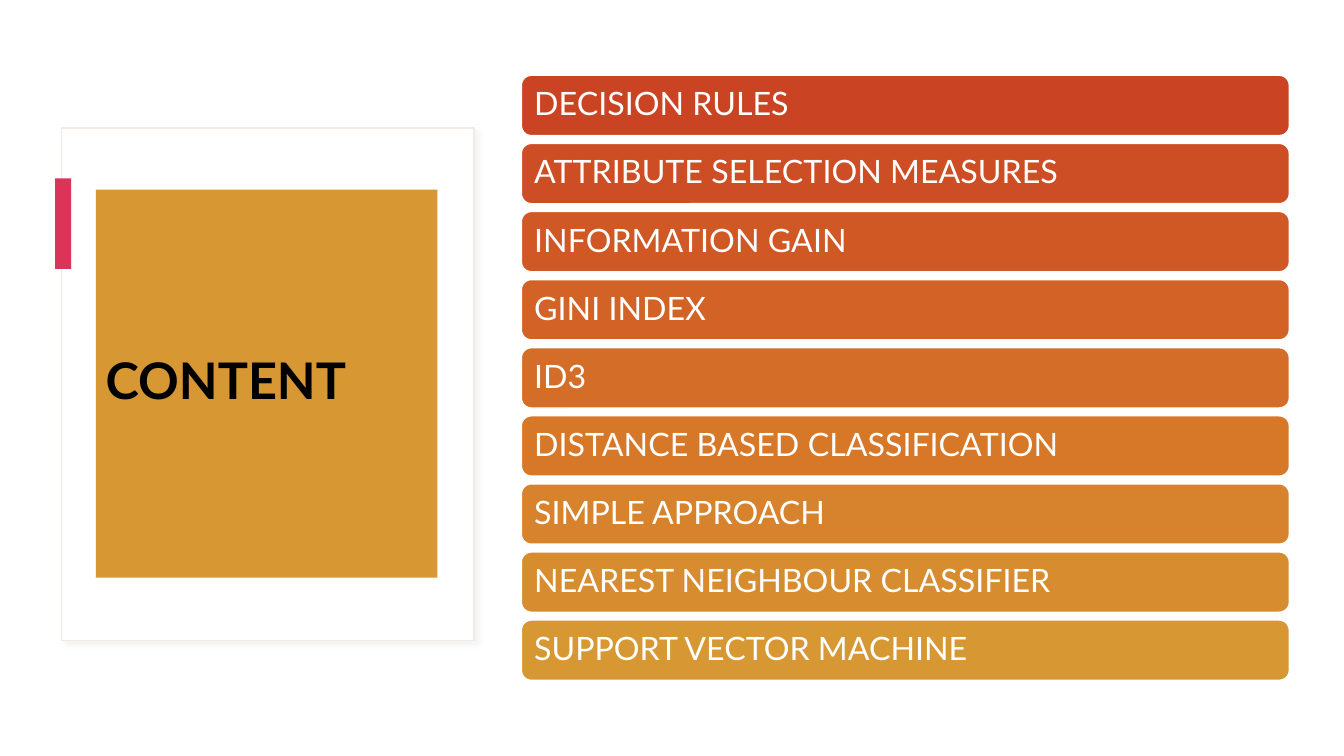
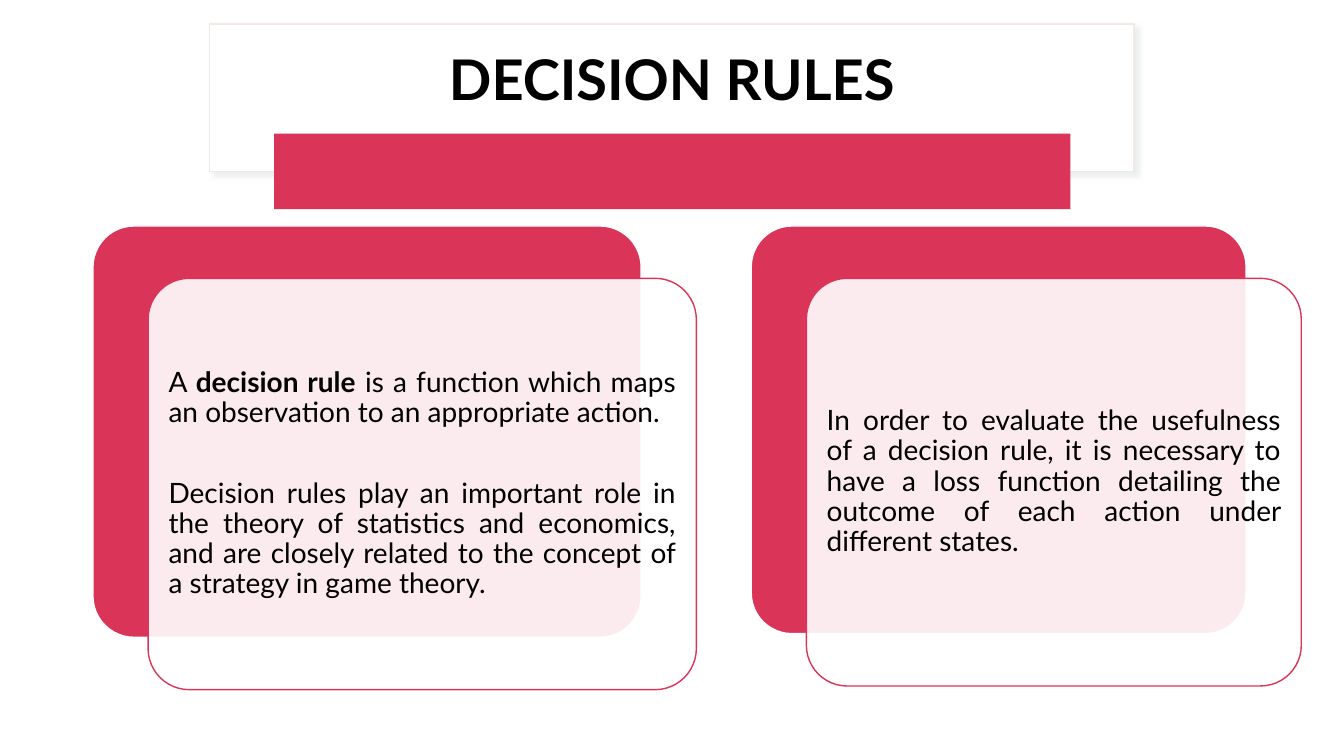
from pptx import Presentation
from pptx.dml.color import RGBColor
from pptx.enum.shapes import MSO_SHAPE
from pptx.enum.text import MSO_ANCHOR, PP_ALIGN
from pptx.oxml import parse_xml
from pptx.oxml.ns import nsdecls, qn
from pptx.util import Pt

WHITE = RGBColor(0xFF, 0xFF, 0xFF)
BLACK = RGBColor(0x00, 0x00, 0x00)
EDGE = RGBColor(0xF0, 0xE9, 0xE5)
SHADE = RGBColor(0xD9, 0xD9, 0xD9)
MINT = RGBColor(0xBC, 0xCA, 0xC7)
PINK = RGBColor(0xDB, 0x34, 0x59)
RED = RGBColor(0xCA, 0x43, 0x23)
ORANGE = RGBColor(0xD7, 0x77, 0x28)
GOLD = RGBColor(0xD7, 0x97, 0x33)

TOPICS = [
    "DECISION RULES",
    "ATTRIBUTE SELECTION MEASURES",
    "INFORMATION GAIN",
    "GINI INDEX",
    "ID3",
    "DISTANCE BASED CLASSIFICATION",
    "SIMPLE APPROACH",
    "NEAREST NEIGHBOUR CLASSIFIER",
    "SUPPORT VECTOR MACHINE",
]
RULE = [
    "A **decision rule** is a function which maps an observation to an appropriate action.",
    "Decision rules play an important role in the theory of statistics and economics, "
    "and are closely related to the concept of a strategy in game theory.",
]
LOSS = [
    "In order to evaluate the usefulness of a decision rule, it is necessary to have "
    "a loss function detailing the outcome of each action under different states.",
]


def blend(start, end, part):
    """Return the colour a given part of the way from start to end."""
    return RGBColor(*(round(a + (b - a) * part) for a, b in zip(start, end)))


class Deck:
    """Holds the presentation, its style and the current slide."""

    font = "Lato"

    def __init__(self):
        """Open an empty wide presentation."""
        self.prs = Presentation()
        self.prs.slide_width, self.prs.slide_height = Pt(960), Pt(540)

    def page(self):
        """Start a new blank slide."""
        self.slide = self.prs.slides.add_slide(self.prs.slide_layouts[6])

    def shape(self, box, fill, line=None, kind=MSO_SHAPE.RECTANGLE):
        """Draw a flat preset shape."""
        item = self.slide.shapes.add_shape(kind, *map(Pt, box))
        item.shadow.inherit = False
        item.fill.solid()
        item.fill.fore_color.rgb = fill
        if line is None:
            item.line.fill.background()
        else:
            item.line.color.rgb = line
            item.line.width = Pt(1)
        return item

    def frame(self, box, shade):
        """Draw a white frame with a soft shadow."""
        item = self.shape(box, WHITE, EDGE)
        effects = item._element.spPr.find(qn("a:effectLst"))
        effects.append(parse_xml(
            f'<a:outerShdw {nsdecls("a")} blurRad="{Pt(4)}" dist="{Pt(3)}" dir="2700000">'
            f'<a:srgbClr val="{shade}"><a:alpha val="30000"/></a:srgbClr></a:outerShdw>'))

    def label(self, item, texts, size, color=BLACK, align=PP_ALIGN.LEFT, bold=False, inset=7.2):
        """Fill a shape with paragraphs, bold between double stars."""
        body = item.text_frame
        body.word_wrap = True
        body.vertical_anchor = MSO_ANCHOR.MIDDLE
        body.margin_left = body.margin_right = Pt(inset)
        body.margin_top = body.margin_bottom = Pt(min(inset, 6))
        for i, text in enumerate(texts):
            para = body.add_paragraph() if i else body.paragraphs[0]
            para.alignment = align
            para.line_spacing = 0.9
            if i:
                para.space_before = Pt(36)
            for j, part in enumerate(text.split("**")):
                run = para.add_run()
                run.text = part
                run.font.name = self.font
                run.font.size = Pt(size)
                run.font.color.rgb = color
                run.font.bold = bold or j % 2 == 1

    def title(self, box, text):
        """Add a centred slide title."""
        item = self.slide.shapes.add_textbox(*map(Pt, box))
        self.label(item, [text], 40, align=PP_ALIGN.CENTER, bold=True)

    def bar(self, box, text, fill):
        """Add one rounded topic bar."""
        item = self.shape(box, fill, WHITE, MSO_SHAPE.ROUNDED_RECTANGLE)
        self.label(item, [text], 23, WHITE)

    def card(self, box, texts):
        """Add a text card in front of a pink plate."""
        left, top, width, height = box
        front = (left + 39.4, top + 37.4, width, height)
        kind = MSO_SHAPE.ROUNDED_RECTANGLE
        plate = self.shape(box, PINK, WHITE, kind)
        sheet = self.shape(front, WHITE, PINK, kind)
        for item in (plate, sheet):
            item.adjustments[0] = 0.1
        tint = sheet._element.spPr.find(qn("a:solidFill"))[0]
        tint.append(parse_xml(f'<a:alpha {nsdecls("a")} val="90000"/>'))
        self.label(sheet, texts, 20, align=PP_ALIGN.JUSTIFY, inset=6)


def main():
    """Build both slides and save them."""
    deck = Deck()

    deck.page()
    deck.frame((44, 91.5, 294.5, 365.8), SHADE)
    tile = deck.shape((68.4, 135.4, 244.1, 277.2), GOLD)
    deck.label(tile, ["CONTENT"], 36, bold=True)
    deck.shape((39.4, 127.4, 11.5, 64.8), PINK)
    turn = 5
    for i, topic in enumerate(TOPICS):
        if i < turn:
            fill = blend(RED, ORANGE, i / turn)
        else:
            fill = blend(ORANGE, GOLD, (i - turn) / (len(TOPICS) - 1 - turn))
        deck.bar((372.4, 53.8 + 48.64 * i, 548.6, 43.1), topic, fill)

    deck.page()
    deck.frame((149.8, 17.3, 660.2, 105.1), MINT)
    deck.title((165.6, 24.5, 628.6, 68.4), "DECISION RULES")
    deck.shape((195.8, 95.4, 568.8, 54), PINK)
    deck.card((66.4, 161.4, 391.6, 293.8), RULE)
    deck.card((536.6, 161.4, 353.5, 291.2), LOSS)

    deck.prs.save("out.pptx")


if __name__ == "__main__":
    main()
